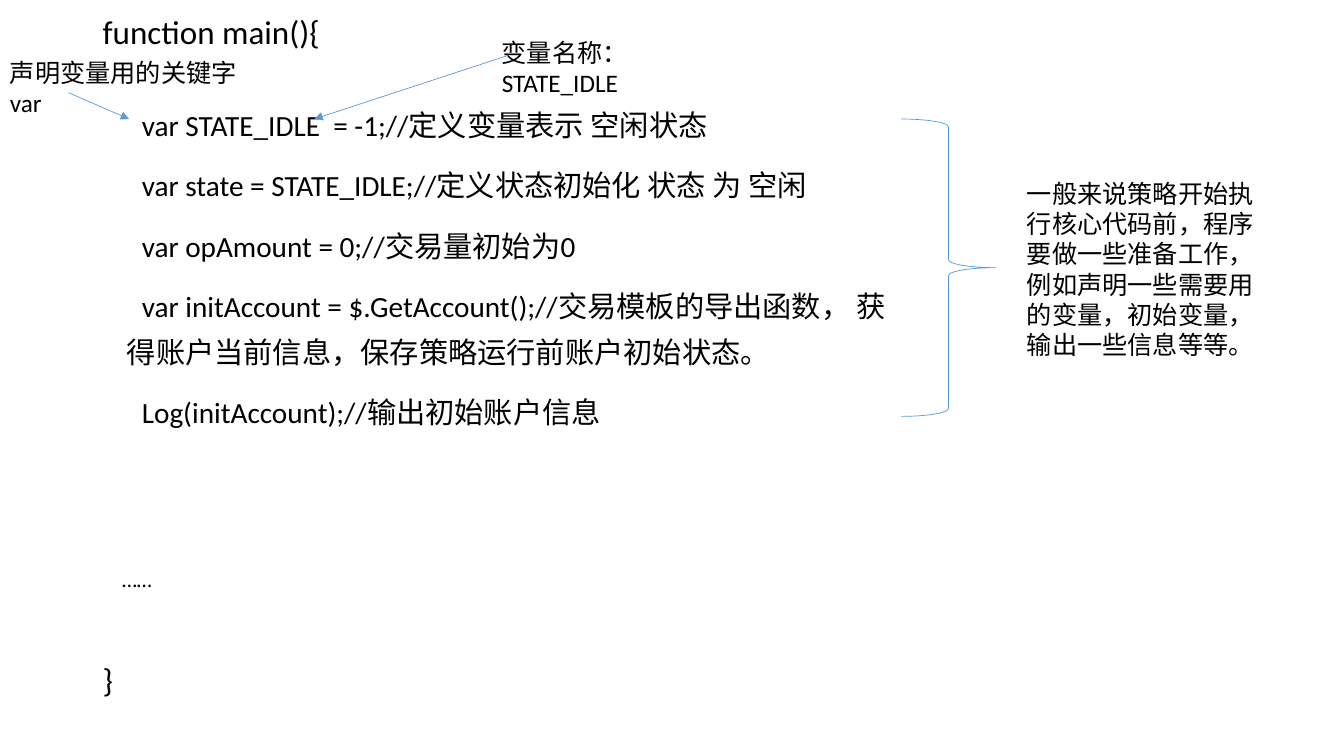
from pptx import Presentation
from pptx.dml.color import RGBColor
from pptx.enum.shapes import MSO_CONNECTOR, MSO_SHAPE
from pptx.oxml.ns import qn
from pptx.util import Pt
from lxml import etree

STRAIGHT = MSO_CONNECTOR.STRAIGHT
RIGHT_BRACE = MSO_SHAPE.RIGHT_BRACE
BLACK = RGBColor(0x00, 0x00, 0x00)
BLUE = RGBColor(0x5B, 0x9B, 0xD5)
FONT = "Calibri"

presentation = Presentation()
presentation.slide_width = Pt(960)
presentation.slide_height = Pt(540)
slide = presentation.slides.add_slide(presentation.slide_layouts[6])


def add_text_frame(left, top, width, height):
    text_frame = slide.shapes.add_textbox(Pt(left), Pt(top), Pt(width), Pt(height)).text_frame
    text_frame.word_wrap = True
    return text_frame


def write(paragraph, text, size):
    paragraph.text = text
    for run in paragraph.runs:
        run.font.name = FONT
        run.font.size = Pt(size)
        run.font.color.rgb = BLACK


# Code listing: text, size, space before, line spacing, left margin, first-line indent
statements = [
    "var STATE_IDLE  = -1;//定义变量表示 空闲状态",
    "var state = STATE_IDLE;//定义状态初始化 状态 为 空闲",
    "var opAmount = 0;//交易量初始为0",
    "var initAccount = $.GetAccount();//交易模板的导出函数， 获得账户当前信息，保存策略运行前账户初始状态。",
    "Log(initAccount);//输出初始账户信息",
]
code_lines = [("function main(){", 23.6, 0, 0.7, 0, 0)]
for index, statement in enumerate(statements):
    space_before = 33.2 if index == 0 else 10
    code_lines.append((statement, 20.9, space_before, Pt(33), 17.3, 10.7))
code_lines += [
    ("……", 15.4, 102.6, 0.7, 13.9, 0),
    ("}", 23.6, 56.3, 0.7, 0, 0),
]

code_frame = add_text_frame(66.24, 12.24, 594, 514)
for index, (text, size, space_before, spacing, margin, indent) in enumerate(code_lines):
    paragraph = code_frame.add_paragraph() if index else code_frame.paragraphs[0]
    write(paragraph, text, size)
    paragraph.space_before = Pt(space_before)
    paragraph.line_spacing = spacing
    properties = paragraph._p.get_or_add_pPr()
    properties.set("marL", str(Pt(margin)))
    properties.set("indent", str(Pt(indent)))

# Explanatory notes
notes = [
    ("声明变量用的关键字var", 0, 37.44, 185, 51),
    ("变量名称：STATE_IDLE", 351.36, 23.04, 180, 51),
    ("一般来说策略开始执行核心代码前，程序要做一些准备工作，"
     "例如声明一些需要用的变量，初始变量，输出一些信息等等。", 726.48, 123.84, 193, 138),
]
for text, left, top, width, height in notes:
    write(add_text_frame(left, top, width, height).paragraphs[0], text, 18)

# Arrows from the notes to the first declaration
for start_x, start_y, end_x, end_y in [(49, 66.24, 92.2, 85), (362.9, 39.6, 224.6, 85)]:
    arrow = slide.shapes.add_connector(STRAIGHT, Pt(start_x), Pt(start_y), Pt(end_x), Pt(end_y))
    arrow.line.color.rgb = BLUE
    arrow.line.width = Pt(0.5)
    etree.SubElement(arrow.line._get_or_add_ln(), qn("a:tailEnd"), type="triangle")
    etree.SubElement(arrow._element.spPr, qn("a:effectLst"))

# Brace around the declarations
brace = slide.shapes.add_shape(RIGHT_BRACE, Pt(643.7), Pt(85), Pt(67.7), Pt(212.4))
brace.shadow.inherit = False
brace.fill.background()
brace.line.color.rgb = BLUE
brace.line.width = Pt(0.5)

presentation.save("out.pptx")
